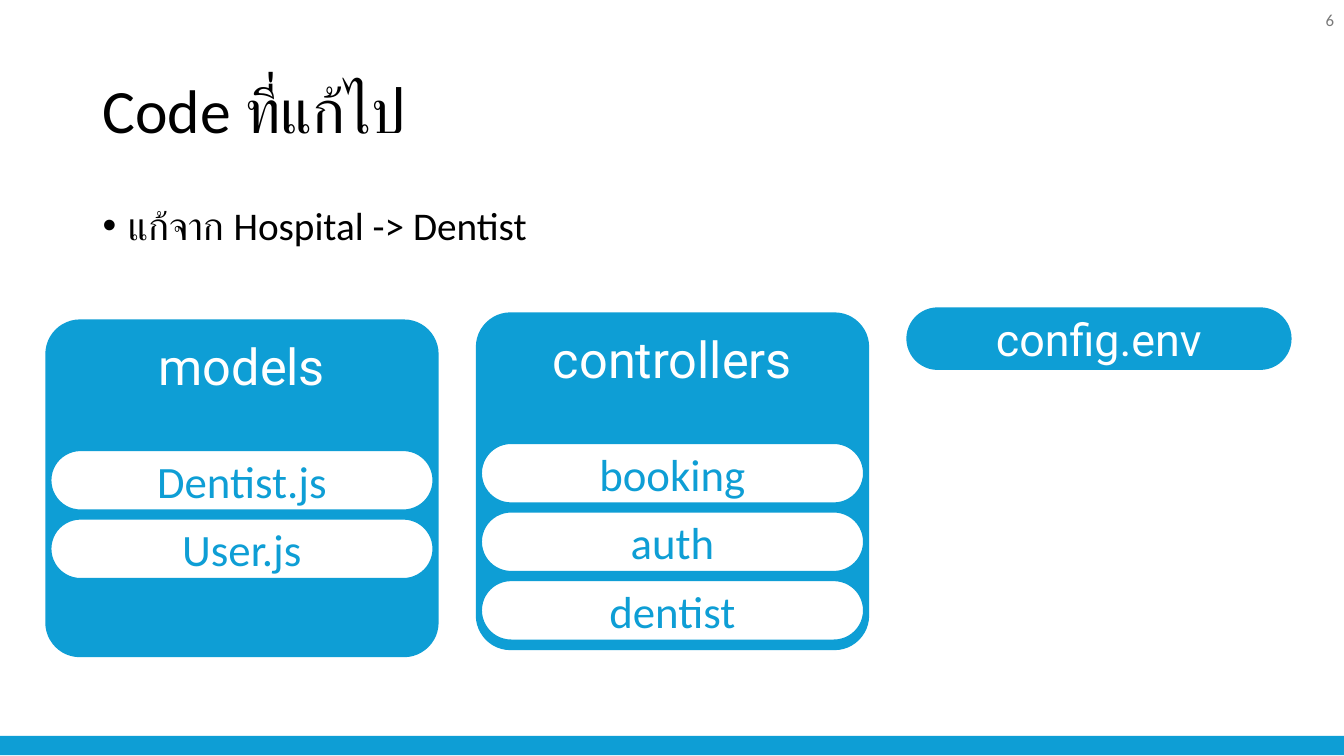
"""Build a slide that lists the changed code files by folder."""
import pptx
import pptx.util
import pptx.dml.color
import pptx.enum.shapes
import pptx.enum.text
from lxml import etree

Inches, Pt = pptx.util.Inches, pptx.util.Pt
RGBColor = pptx.dml.color.RGBColor
ALIGN = pptx.enum.text.PP_ALIGN
ANCHOR = pptx.enum.text.MSO_ANCHOR
ROUNDED = pptx.enum.shapes.MSO_SHAPE.ROUNDED_RECTANGLE

BLUE = RGBColor(0x0E, 0x9E, 0xD5)
WHITE = RGBColor(0xFF, 0xFF, 0xFF)
BLACK = RGBColor(0, 0, 0)
GREY = RGBColor(0x79, 0x79, 0x79)

WIDTH, HEIGHT = 13.33, 7.5
LEFT, COLUMN, ROW = 0.46, 4.27, 0.68
CARD_W, CARD_H = 3.88, 3.33
PILL_W, PILL_H = 3.8, 0.6
PILL_INSET, PILL_DROP = 0.04, 1.285

FOLDERS = [
    ("models", 3.18, ["Dentist.js", "User.js"]),
    ("controllers", 3.11, ["booking", "auth", "dentist"]),
]


def write(sp, text, size, color, font="Calibri", anchor=ANCHOR.MIDDLE, **paragraph):
    """Put one formatted line of text in a shape and return its paragraph."""
    tf = sp.text_frame
    tf.word_wrap = True
    tf.vertical_anchor = anchor
    p = tf.paragraphs[0]
    for name, value in paragraph.items():
        setattr(p, name, value)
    r = p.add_run()
    r.text = text
    for name, value in {"size": Pt(size), "name": font}.items():
        setattr(r.font, name, value)
    r.font.color.rgb = color
    return p


def add_text(s, box, *args, **formats):
    """Add a text box and return its paragraph."""
    sp = s.shapes.add_textbox(*map(Inches, box))
    return write(sp, *args, **formats)


def add_rounded(shapes, box, corner, fill, outlined=True):
    """Add a rounded rectangle without shadow."""
    sp = shapes.add_shape(ROUNDED, *map(Inches, box))
    sp.adjustments[0] = corner
    sp.shadow.inherit = False
    sp.fill.solid()
    sp.fill.fore_color.rgb = fill
    if outlined:
        sp.line.color.rgb = BLUE
        sp.line.width = Pt(1.5)
    else:
        sp.line.fill.background()
    return sp


def add_pill(shapes, left, top, text, fill, color, font="Calibri"):
    """Add a file name in a fully rounded bar."""
    sp = add_rounded(shapes, (left, top, PILL_W, PILL_H), 0.5, fill)
    write(sp, text, 32, color, font, alignment=ALIGN.CENTER)


def add_folder(s, column, top, name, files):
    """Add a grouped folder card with one pill per file."""
    shapes = s.shapes.add_group_shape().shapes
    left = LEFT + column * COLUMN
    card = add_rounded(shapes, (left, top, CARD_W, CARD_H), 0.1, BLUE)
    write(card, name, 36, WHITE, "Roboto", ANCHOR.TOP, alignment=ALIGN.CENTER)
    for row, file in enumerate(files):
        add_pill(shapes, left + PILL_INSET, top + PILL_DROP + row * ROW,
                 file, WHITE, BLUE)


def add_bullet(p):
    """Give a paragraph a hanging round bullet."""
    pPr = p._p.get_or_add_pPr()
    for name, value in {"marL": Inches(0.25), "indent": Inches(-0.25)}.items():
        pPr.set(name, str(int(value)))
    bullet_font = etree.SubElement(pPr, pptx.oxml.ns.qn("a:buFont"))
    bullet_font.set("typeface", "Arial")
    etree.SubElement(pPr, pptx.oxml.ns.qn("a:buChar")).set("char", "•")


def main():
    """Build and save the slide."""
    prs = pptx.Presentation()
    prs.slide_width, prs.slide_height = Inches(WIDTH), Inches(HEIGHT)
    s = prs.slides.add_slide(prs.slide_layouts[6])
    add_rounded(s.shapes, (0, 7.3, WIDTH, 0.19), 0, BLUE, outlined=False)
    add_text(s, (0.92, 0.4, 11.5, 1.45), "Code ที่แก้ไป", 44, BLACK, line_spacing=0.9)
    add_bullet(add_text(s, (0.92, 2, 11.5, 4.76), "แก้จาก Hospital -> Dentist", 28,
                        BLACK, anchor=ANCHOR.TOP, line_spacing=0.9,
                        space_before=Pt(10)))
    add_text(s, (WIDTH - 3, 0, 3, 0.4), "6", 12, GREY, alignment=ALIGN.RIGHT)
    for column, (name, top, files) in enumerate(FOLDERS):
        add_folder(s, column, top, name, files)
    add_pill(s.shapes, LEFT + 2 * COLUMN, 3.06, "config.env", BLUE, WHITE, "Roboto")
    prs.save("out.pptx")


if __name__ == "__main__":
    main()
